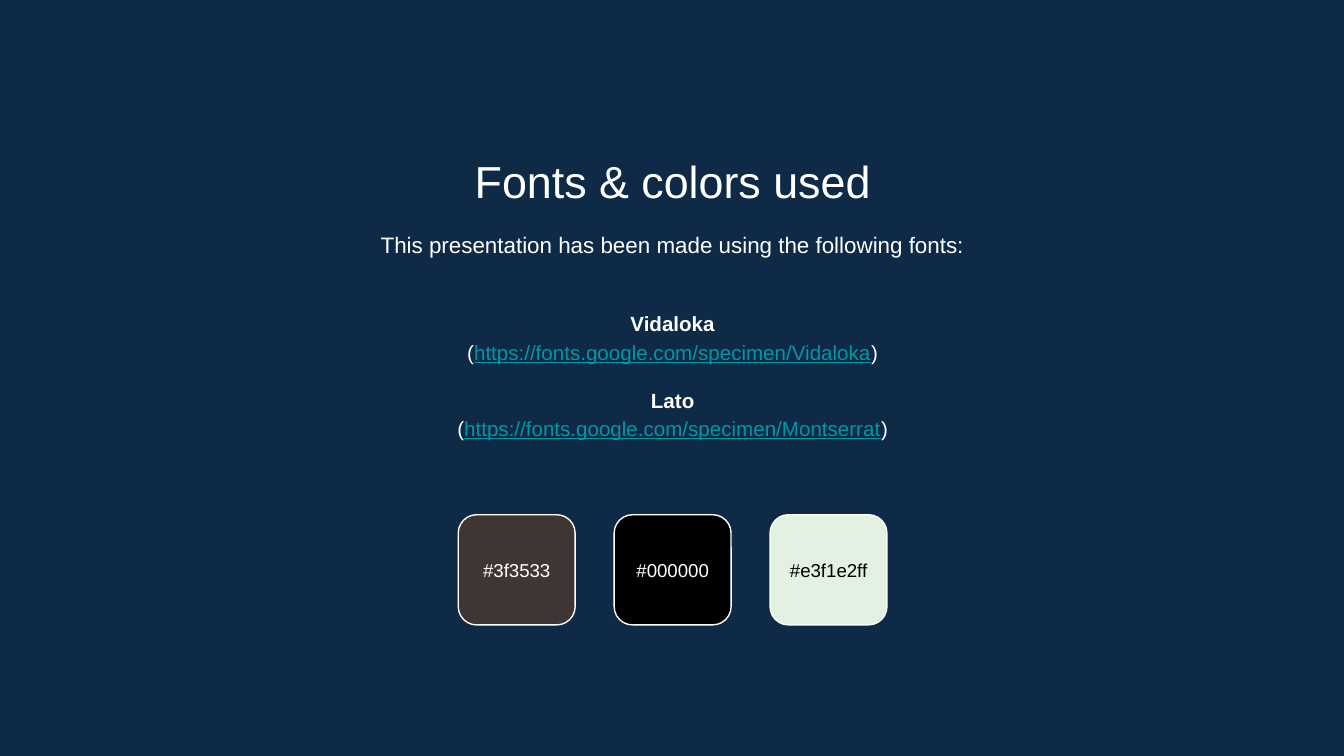
from pptx import Presentation
from pptx.dml.color import RGBColor
from pptx.enum.shapes import MSO_SHAPE
from pptx.enum.text import MSO_ANCHOR, PP_ALIGN
from pptx.util import Inches, Pt

FONT = "Arial"
COLORS = {
    "background": "0E2A47",
    "white": "FFFFFF",
    "black": "000000",
    "link": "0097A7",
    "brown": "3F3533",
    "mint": "E3F1E2",
}
FONT_SOURCES = [
    ("Vidaloka", "https://fonts.google.com/specimen/Vidaloka"),
    ("Lato", "https://fonts.google.com/specimen/Montserrat"),
]
SWATCHES = [
    ("#3f3533", "brown", "white"),
    ("#000000", "black", "white"),
    ("#e3f1e2ff", "mint", "black"),
]


def rgb(name):
    return RGBColor.from_string(COLORS[name])


def place(shape, left, top, width, height):
    shape.left, shape.top = Inches(left), Inches(top)
    shape.width, shape.height = Inches(width), Inches(height)


def prepare_frame(shape, anchor):
    frame = shape.text_frame
    frame.word_wrap = True
    frame.vertical_anchor = anchor
    frame.margin_left = frame.margin_right = Inches(0.1)
    frame.margin_top = frame.margin_bottom = Inches(0.1)
    return frame


def add_text_box(slide, box, anchor):
    text_box = slide.shapes.add_textbox(*[Inches(value) for value in box])
    return prepare_frame(text_box, anchor)


def add_run(paragraph, text, size, color="white", bold=False, underline=False):
    paragraph.alignment = PP_ALIGN.CENTER
    run = paragraph.add_run()
    run.text = text
    run.font.name = FONT
    run.font.size = Pt(size)
    run.font.bold = bold
    run.font.underline = underline
    run.font.color.rgb = rgb(color)


def add_heading(slide, left, top, width):
    # Title
    title = slide.shapes.title
    place(title, left, top, width, 0.53)
    frame = prepare_frame(title, MSO_ANCHOR.TOP)
    add_run(frame.paragraphs[0], "Fonts & colors used", 24)

    # Introduction
    frame = add_text_box(slide, (left, top + 0.55, width, 0.48), MSO_ANCHOR.TOP)
    paragraph = frame.paragraphs[0]
    paragraph.line_spacing = 1.15
    add_run(paragraph, "This presentation has been made using the following fonts:", 12)


def add_font_list(slide, left, top, width, height):
    frame = add_text_box(slide, (left, top, width, height), MSO_ANCHOR.MIDDLE)
    for index, (name, address) in enumerate(FONT_SOURCES):
        name_line = frame.add_paragraph() if index else frame.paragraphs[0]
        if index:
            name_line.space_before = Pt(10.6)
        add_run(name_line, name, 11, bold=True)

        address_line = frame.add_paragraph()
        add_run(address_line, "(", 11)
        add_run(address_line, address, 11, "link", underline=True)
        add_run(address_line, ")", 11)
        name_line.line_spacing = address_line.line_spacing = 1.15


def add_swatches(slide, left, top, width, height, pitch):
    label_height = 0.48
    for index, (code, fill, text_color) in enumerate(SWATCHES):
        x = left + index * pitch
        swatch = slide.shapes.add_shape(
            MSO_SHAPE.ROUNDED_RECTANGLE,
            Inches(x), Inches(top), Inches(width), Inches(height),
        )
        swatch.shadow.inherit = False
        swatch.fill.solid()
        swatch.fill.fore_color.rgb = rgb(fill)
        swatch.line.color.rgb = rgb("white")
        swatch.line.width = Pt(0.75)

        label_top = top + (height - label_height) / 2
        frame = add_text_box(slide, (x, label_top, width, label_height), MSO_ANCHOR.MIDDLE)
        add_run(frame.paragraphs[0], code, 10, text_color)


def main():
    presentation = Presentation()
    # Widescreen, 16:9
    presentation.slide_width = Inches(10)
    presentation.slide_height = Inches(10) * 9 // 16
    slide = presentation.slides.add_slide(presentation.slide_layouts[5])
    slide.background.fill.solid()
    slide.background.fill.fore_color.rgb = rgb("background")

    add_heading(slide, 1.15, 1.04, 7.71)
    add_font_list(slide, 1.15, 2.1, 7.71, 1.37)
    add_swatches(slide, 3.41, 3.83, 0.87, 0.82, 1.16)

    presentation.save("out.pptx")


if __name__ == "__main__":
    main()
